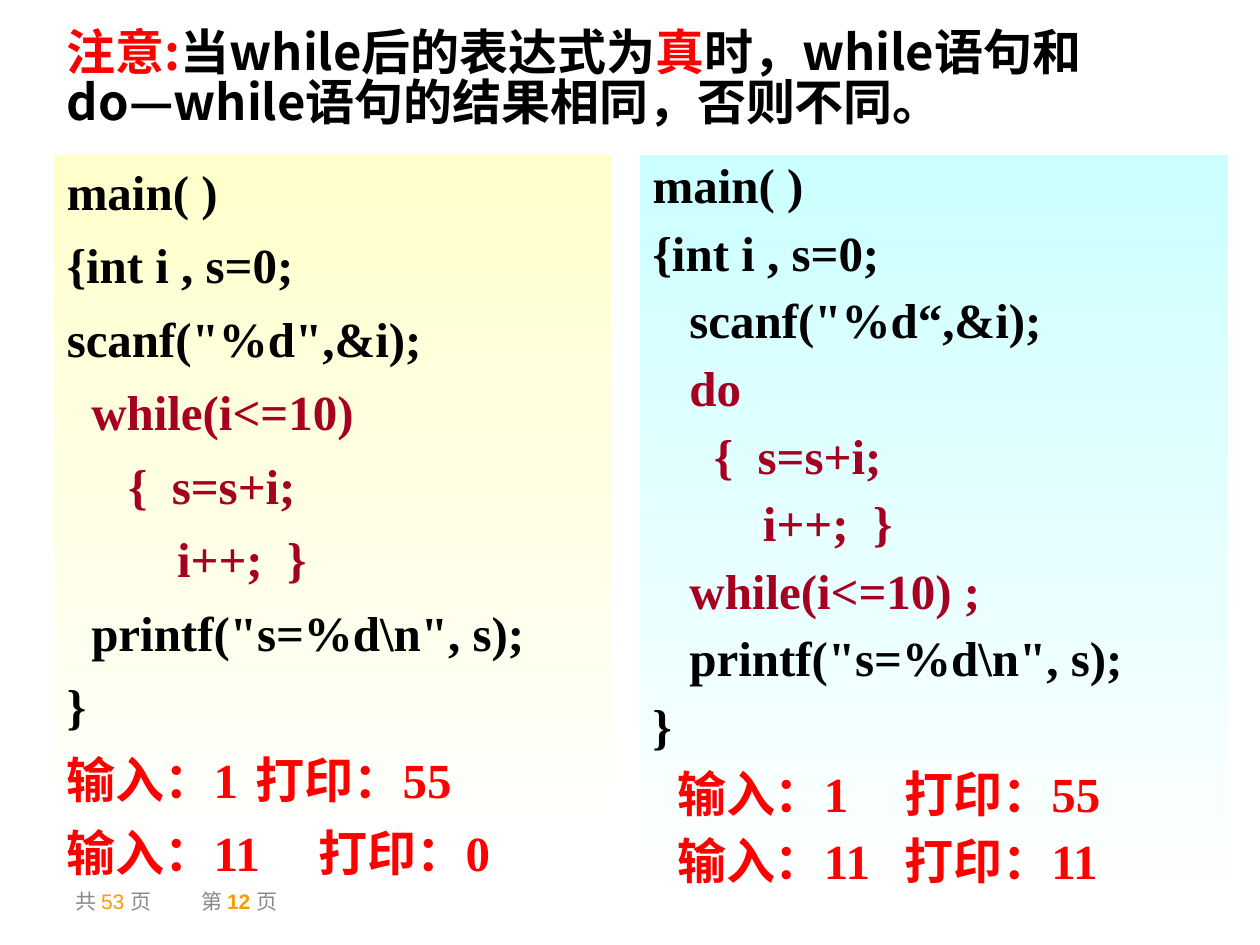
import pptx
import pptx.util
import pptx.dml.color
import pptx.enum.text
import pptx.oxml.ns
from lxml import etree

Pt = pptx.util.Pt
RGB = pptx.dml.color.RGBColor.from_string
qn = pptx.oxml.ns.qn
THEME = {
    "black": "000000", "red": "FF0000", "loop": "A50021",
    "grey": "898989", "orange": "FF9900", "white": "FFFFFF",
    "yellow": "FFFFCC", "cyan": "CCFFFF",
    "cjk": "Noto Sans CJK SC", "code": "Times New Roman", "footer": "Arial",
    "size": 28, "small": 12, "gap": 8.4, "space": 7,
}

prs = pptx.Presentation()
prs.slide_width, prs.slide_height = pptx.util.Inches(10), pptx.util.Inches(7.5)
W, H = prs.slide_width, prs.slide_height
s = prs.slides.add_slide(prs.slide_layouts[3])


def set_frame(sp, x, y, w, h, anchor="TOP"):
    """Place a shape by shares of the slide and return its text frame."""
    box = {"left": W * x, "top": H * y, "width": W * w, "height": H * h}
    for name, value in box.items():
        setattr(sp, name, int(value))
    tf = sp.text_frame
    tf.word_wrap = True
    tf.auto_size = pptx.enum.text.MSO_AUTO_SIZE.NONE
    tf.vertical_anchor = pptx.enum.text.MSO_ANCHOR[anchor]
    return tf


def add_line(tf, i, runs, font, size, indent=0, tab=0, **spacing):
    """Write paragraph i from (text, colour, bold) runs."""
    p = tf.paragraphs[0] if i == 0 else tf.add_paragraph()
    p.alignment = pptx.enum.text.PP_ALIGN.LEFT
    for name, value in spacing.items():
        setattr(p, name, value)
    pPr = p._p.get_or_add_pPr()
    pPr.set("marL", "0")
    pPr.set("indent", str(int(Pt(indent))))
    etree.SubElement(pPr, qn("a:buNone"))
    if tab:
        tabs = etree.SubElement(pPr, qn("a:tabLst"))
        etree.SubElement(tabs, qn("a:tab"), pos=str(int(W * tab)), algn="l")
    for text, colour, bold in runs:
        r = p.add_run()
        r.text = text
        for name, value in {"name": font, "size": Pt(size), "bold": bold}.items():
            setattr(r.font, name, value)
        r.font.color.rgb = RGB(THEME[colour])
        etree.SubElement(r._r.get_or_add_rPr(), qn("a:ea"), typeface=THEME["cjk"])


title, left, right = s.placeholders

tf = set_frame(title, 0.043, 0.028, 0.925, 0.141)
title_lines = [
    [("注意:", "red", True), ("当while后的表达式为", "black", True),
     ("真", "red", True), ("时，while语句和", "black", True)],
    [("do—while语句的结果相同，否则不同。", "black", True)],
]
for i, runs in enumerate(title_lines):
    add_line(tf, i, runs, THEME["cjk"], THEME["size"],
             line_spacing=0.8, space_before=Pt(2))

# Each code line: indent in spaces, colour, text
while_code = [
    (0, "black", "main( )"),
    (0, "black", "{int i , s=0;"),
    (0, "black", 'scanf("%d",&i);'),
    (2, "loop", "while(i<=10)"),
    (5, "loop", "{  s=s+i;"),
    (9, "loop", "i++;  }"),
    (2, "black", 'printf("s=%d\\n", s);'),
    (0, "black", "}"),
    (0, "red", "输入：1\t打印：55"),
    (0, "red", "输入：11\t打印：0"),
]
do_code = [
    (0, "black", "main( )"),
    (0, "black", "{int i , s=0;"),
    (3, "black", 'scanf("%d“,&i);'),
    (3, "loop", "do"),
    (5, "loop", "{  s=s+i;"),
    (9, "loop", "i++;  }"),
    (3, "loop", "while(i<=10) ;"),
    (3, "black", 'printf("s=%d\\n", s);'),
    (0, "black", "}"),
    (2, "red", "输入：1\t打印：55"),
    (2, "red", "输入：11\t打印：11"),
]
panels = [
    (left, 0.043, 0.442, 0.756, "yellow", 1.0, 0.252, while_code),
    (right, 0.508, 0.467, 0.8, "cyan", 0.9, 0.211, do_code),
]
for sp, x, w, h, tint, spacing, tab, code in panels:
    tf = set_frame(sp, x, 0.164, w, h)
    sp.fill.gradient()
    sp.fill.gradient_angle = 270
    for stop, colour, position in zip(sp.fill.gradient_stops, (tint, "white"), (0, 1)):
        stop.color.rgb = RGB(THEME[colour])
        stop.position = position
    for i, (spaces, colour, text) in enumerate(code):
        add_line(tf, i, [(text, colour, True)], THEME["code"], THEME["size"],
                 indent=spaces * THEME["space"], tab=tab if "\t" in text else 0,
                 line_spacing=spacing, space_before=Pt(THEME["gap"]))

page = s.shapes.add_textbox(0, 0, W, H)
tf = set_frame(page, 0.05, 0.927, 0.233, 0.053, "MIDDLE")
page_runs = [("共 ", "grey", False), ("53 ", "orange", False),
             ("页\t第 ", "grey", False), ("12 ", "orange", True), ("页", "grey", False)]
add_line(tf, 0, page_runs, THEME["footer"], THEME["small"], tab=0.08)

prs.save("out.pptx")
